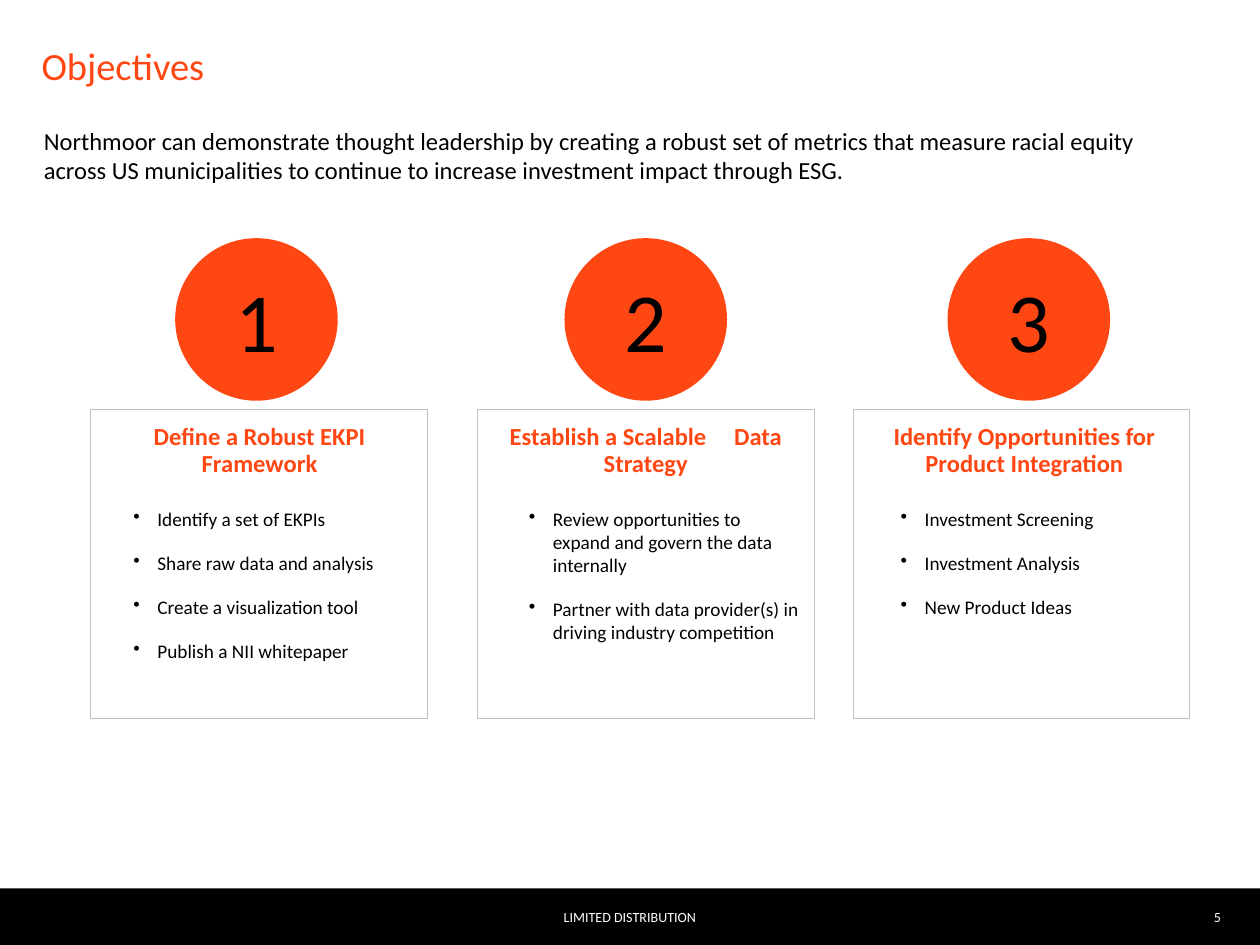
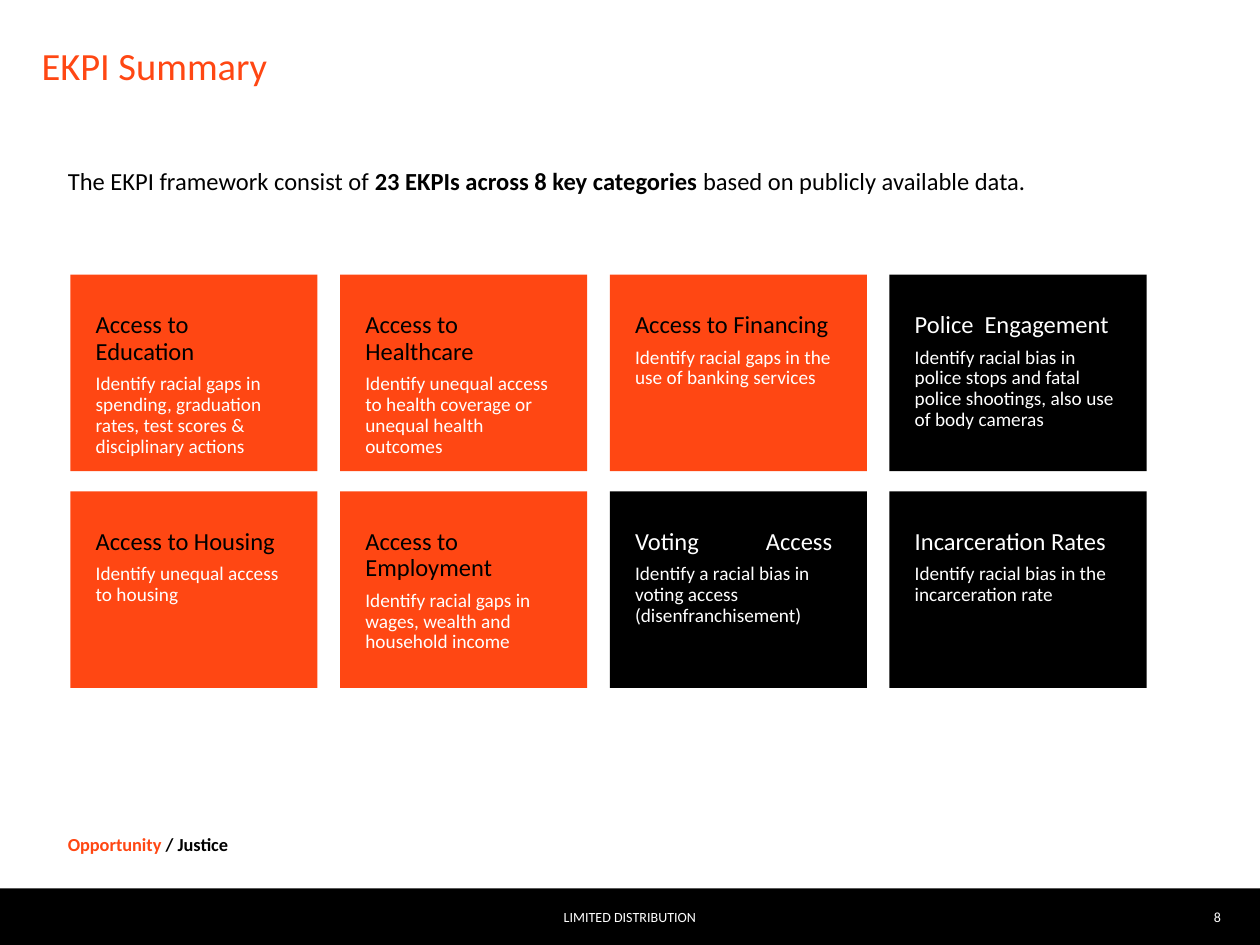
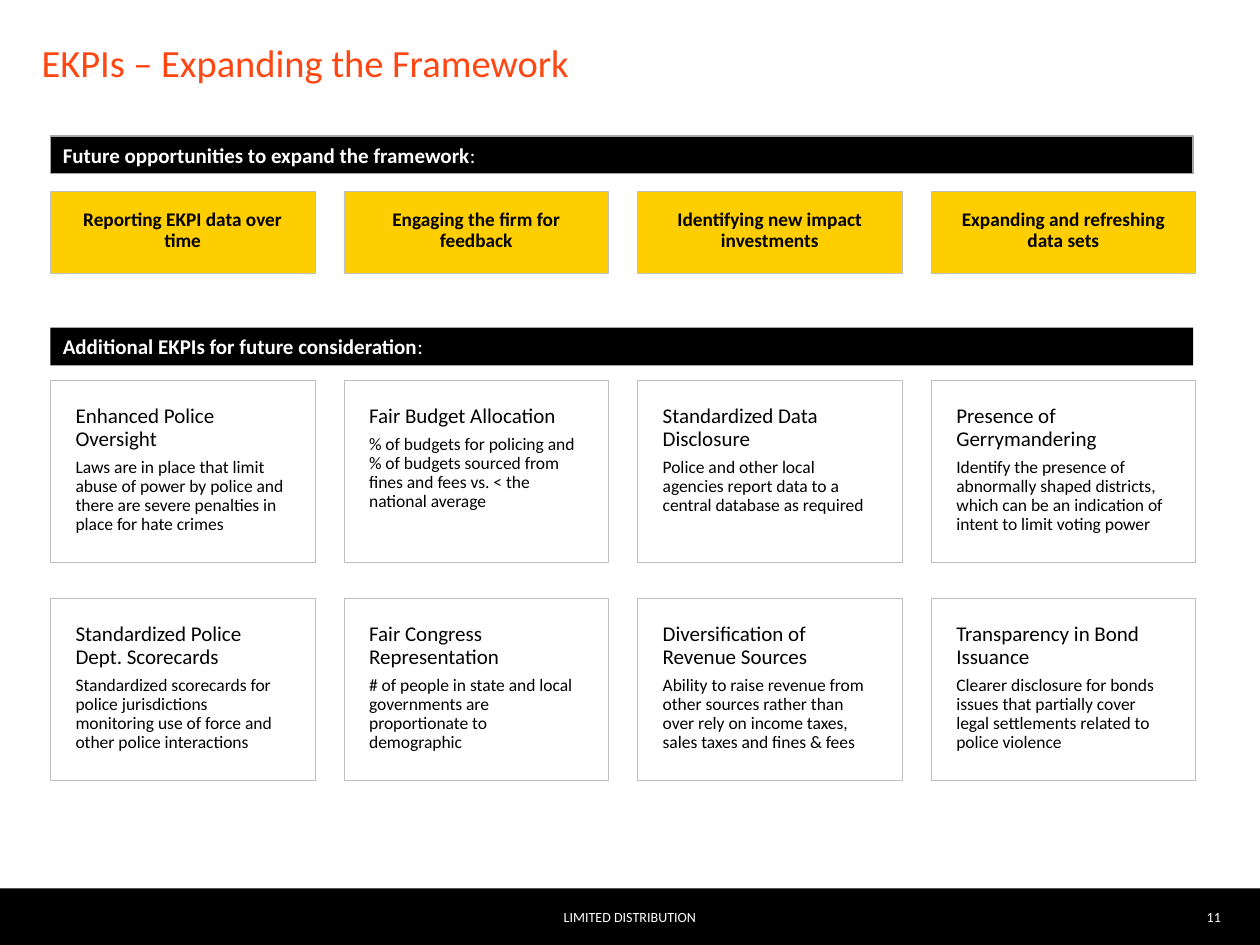
from itertools import accumulate

from pptx import Presentation
from pptx.dml.color import RGBColor
from pptx.enum.shapes import MSO_SHAPE as SHAPE
from pptx.enum.text import MSO_ANCHOR as ANCHOR, MSO_AUTO_SIZE as AUTO_SIZE, PP_ALIGN as ALIGN
from pptx.oxml.ns import qn
from pptx.util import Inches, Pt

ORANGE = RGBColor(0xFF, 0x47, 0x13)
YELLOW = RGBColor(0xFF, 0xCE, 0x00)
BLACK = RGBColor(0, 0, 0)
WHITE = RGBColor(0xFF, 0xFF, 0xFF)
CARD_LINE = RGBColor(0xBF, 0xBF, 0xBF)
BAR_LINE = RGBColor(0xA6, 0xA6, 0xA6)

FONT = "Calibri"
TITLE_ONLY = 5
FOOTER_TOP, FOOTER_HEIGHT = 7.05, 0.45
DEFAULT_INSETS = (0.1, 0.05, 0.1, 0.05)
NO_INSETS = (0, 0, 0, 0)

# (circle left, text left, text width, frame left, heading runs, bullets)
OBJECTIVES = [
    (1.39, 0.65, 2.82, 0.72, [("Define a Robust EKPI Framework", {})],
     ["Identify a set of EKPIs", "Share raw data and analysis",
      "Create a visualization tool", "Publish a NII whitepaper"]),
    (4.48, 3.79, 2.67, 3.79,
     [("Establish a Scalable", {}), (" ", {"spacing": 12.5}), ("Data Strategy", {})],
     ["Review opportunities to expand and govern the data internally",
      "Partner with data provider(s) in driving industry competition"]),
    (7.52, 6.74, 2.78, 6.77, [("Identify Opportunities for Product Integration", {})],
     ["Investment Screening", "Investment Analysis", "New Product Ideas"]),
]

# Rows of (fill, heading runs, description)
CATEGORIES = [
    [(ORANGE, [("Access to Education", {})],
      "Identify racial gaps in spending, graduation rates, test scores & disciplinary actions"),
     (ORANGE, [("Access to Healthcare", {})],
      "Identify unequal access to health coverage or unequal health outcomes"),
     (ORANGE, [("Access to Financing", {})],
      "Identify racial gaps in the use of banking services"),
     (BLACK, [("Police", {}), (" ", {"spacing": 3}), ("Engagement", {})],
      "Identify racial bias in police stops and fatal police shootings, "
      "also use of body cameras")],
    [(ORANGE, [("Access to Housing", {})], "Identify unequal access to housing"),
     (ORANGE, [("Access to Employment", {})],
      "Identify racial gaps in wages, wealth and household income"),
     (BLACK, [("Voting", {}), (" ", {"spacing": 35}), ("Access", {})],
      "Identify a racial bias in voting access (disenfranchisement)"),
     (BLACK, [("Incarceration Rates", {})],
      "Identify racial bias in the incarceration rate")],
]

OPPORTUNITIES = ["Reporting EKPI data over time", "Engaging the firm for feedback",
                 "Identifying new impact investments", "Expanding and refreshing data sets"]

FUTURE_EKPIS = [
    [("Enhanced Police Oversight",
      "Laws are in place that limit abuse of power by police and there are severe "
      "penalties in place for hate crimes"),
     ("Fair Budget Allocation",
      "% of budgets for policing and % of budgets sourced from fines and fees vs. "
      "< the national average"),
     ("Standardized Data Disclosure",
      "Police and other local agencies report data to a central database as required"),
     ("Presence of Gerrymandering",
      "Identify the presence of abnormally shaped districts, which can be an indication "
      "of intent to limit voting power")],
    [("Standardized Police Dept. Scorecards",
      "Standardized scorecards for police jurisdictions monitoring use of force and "
      "other police interactions"),
     ("Fair Congress Representation",
      "# of people in state and local governments are proportionate to demographic"),
     ("Diversification of Revenue Sources",
      "Ability to raise revenue from other sources rather than over rely on income "
      "taxes, sales taxes and fines & fees"),
     ("Transparency in Bond Issuance",
      "Clearer disclosure for bonds issues that partially cover legal settlements "
      "related to police violence")],
]


def set_frame(tf, insets=DEFAULT_INSETS, anchor=ANCHOR.TOP):
    tf.word_wrap = True
    tf.auto_size = AUTO_SIZE.NONE
    tf.vertical_anchor = anchor
    tf.margin_left, tf.margin_top, tf.margin_right, tf.margin_bottom = map(Inches, insets)


def add_runs(p, runs, size, color, bold=False):
    """Add (text, overrides) runs; overrides may hold color, bold and spacing in points."""
    for text, overrides in runs:
        r = p.add_run()
        r.text = text
        r.font.name = FONT
        r.font.size = Pt(size)
        r.font.color.rgb = overrides.get("color", color)
        r.font.bold = overrides.get("bold", bold)
        if "spacing" in overrides:
            r.font._element.set("spc", str(int(overrides["spacing"] * 100)))


def write(tf, runs, size, color, bold=False, align=ALIGN.LEFT, tight=False):
    """Fill the next paragraph; a tight one has 90% lines and a 35% gap below."""
    p = tf.add_paragraph() if tf.text else tf.paragraphs[0]
    p.alignment = align
    if tight:
        p.line_spacing = 0.9
        p.space_after = Pt(size * 0.35)
    add_runs(p, runs, size, color, bold)
    return p


def write_bullet(tf, text):
    p = write(tf, [(text, {})], 11, BLACK)
    p.space_before = Pt(12)
    pPr = p._p.get_or_add_pPr()
    pPr.set("marL", str(Inches(0.5)))
    pPr.set("indent", str(Inches(-0.19)))
    pPr.makeelement(qn("a:buChar"), {"char": "•"})
    pPr.append(pPr.makeelement(qn("a:buChar"), {"char": "•"}))


def add_box(slide, box, fill=None, line=None, line_width=0.25, shape=SHAPE.RECTANGLE,
            insets=DEFAULT_INSETS, anchor=ANCHOR.TOP):
    sp = slide.shapes.add_shape(shape, *map(Inches, box))
    sp.shadow.inherit = False
    if fill is None:
        sp.fill.background()
    else:
        sp.fill.solid()
        sp.fill.fore_color.rgb = fill
    if line is None:
        sp.line.fill.background()
    else:
        sp.line.color.rgb = line
        sp.line.width = Pt(line_width)
    set_frame(sp.text_frame, insets, anchor)
    return sp.text_frame


def add_text(slide, box, insets=DEFAULT_INSETS, anchor=ANCHOR.TOP):
    tf = slide.shapes.add_textbox(*map(Inches, box)).text_frame
    set_frame(tf, insets, anchor)
    return tf


def add_slide(prs, title, number, title_top=0.33, title_anchor=ANCHOR.TOP):
    """Add a slide with its title, footer band and page number."""
    slide = prs.slides.add_slide(prs.slide_layouts[TITLE_ONLY])
    sp = slide.shapes.title
    sp.left, sp.top, sp.width, sp.height = map(Inches, (0.33, title_top, 9.33, 0.65))
    set_frame(sp.text_frame, NO_INSETS, title_anchor)
    write(sp.text_frame, [(title, {})], 22, ORANGE)

    add_box(slide, (0, FOOTER_TOP, 10, FOOTER_HEIGHT), BLACK)
    tf = add_text(slide, (9.24, FOOTER_TOP, 0.45, FOOTER_HEIGHT), NO_INSETS, ANCHOR.MIDDLE)
    write(tf, [(str(number), {})], 8, WHITE, align=ALIGN.RIGHT)
    tf = add_text(slide, (1.75, FOOTER_TOP, 6.5, FOOTER_HEIGHT), anchor=ANCHOR.MIDDLE)
    write(tf, [("LIMITED DISTRIBUTION", {})], 8, WHITE, align=ALIGN.CENTER)
    return slide


def add_objective(slide, number, circle_left, text_left, text_width, frame_left,
                  heading, bullets):
    tf = add_text(slide, (text_left, 3.17, text_width, 2.93), (0.1, 0.2, 0.1, 0))
    write(tf, heading, 14, ORANGE, bold=True, align=ALIGN.CENTER, tight=True)
    for bullet in bullets:
        write_bullet(tf, bullet)
    tf = add_box(slide, (circle_left, 1.89, 1.29, 1.29), ORANGE, shape=SHAPE.OVAL,
                 insets=NO_INSETS, anchor=ANCHOR.MIDDLE)
    p = write(tf, [(str(number), {})], 48, BLACK, align=ALIGN.CENTER)
    p.space_before = p.space_after = Pt(3)
    add_box(slide, (frame_left, 3.25, 2.67, 2.45), line=CARD_LINE)


def add_category(slide, box, fill, heading, description):
    tf = add_box(slide, box, fill, insets=(0.2, 0.3, 0.2, 0.1))
    write(tf, heading, 14, BLACK if fill == ORANGE else WHITE, tight=True)
    write(tf, [(description, {})], 11, WHITE, tight=True)


def add_future_ekpi(slide, box, heading, description):
    tf = add_box(slide, box, WHITE, CARD_LINE, insets=(0.2, 0.2, 0.2, 0.2))
    write(tf, [(heading, {})], 12, BLACK, tight=True)
    write(tf, [(description, {})], 10, BLACK, tight=True)


def add_opportunity(slide, box, text):
    tf = add_box(slide, box, YELLOW, CARD_LINE, insets=(0.1, 0, 0.1, 0.03),
                 anchor=ANCHOR.MIDDLE)
    write(tf, [(text, {})], 11, BLACK, bold=True, align=ALIGN.CENTER, tight=True)


def add_section_bar(slide, top, text, line=None):
    tf = add_box(slide, (0.4, top, 9.07, 0.3), BLACK, line, 0.75)
    write(tf, [(text, {}), (":", {"bold": False})], 12, WHITE, bold=True)


def build_objectives(prs):
    slide = add_slide(prs, "Objectives", 5)
    tf = add_text(slide, (0.25, 0.95, 8.99, 0.57))
    write(tf, [("Northmoor can demonstrate thought leadership by creating a robust set of "
                "metrics that measure racial equity across US municipalities to continue "
                "to increase investment impact through ESG.", {})], 14, BLACK)
    for number, objective in enumerate(OBJECTIVES, start=1):
        add_objective(slide, number, *objective)


def build_summary(prs):
    slide = add_slide(prs, "EKPI Summary", 8)
    widths = [1.96, 1.96, 2.04, 2.04]
    gap = 0.18
    lefts = accumulate((w + gap for w in widths[:-1]), initial=0.56)
    columns = list(zip(lefts, widths))
    for row, categories in enumerate(CATEGORIES):
        for (left, width), category in zip(columns, categories):
            add_category(slide, (left, 2.18 + row * 1.72, width, 1.56), *category)
    tf = add_text(slide, (0.44, 1.27, 9.25, 0.34))
    write(tf, [("The EKPI framework consist of ", {}),
               ("23 EKPIs across 8 key categories ", {"bold": True}),
               ("based on publicly available data.", {})], 14, BLACK)
    tf = add_text(slide, (0.44, 6.56, 8.87, 0.28))
    write(tf, [("Opportunity", {"color": ORANGE}), (" / Justice", {})], 10.5, BLACK, bold=True)


def build_expansion(prs):
    slide = add_slide(prs, "EKPIs – Expanding the Framework", 11, 0.17, ANCHOR.MIDDLE)
    lefts = [0.4 + column * 2.33 for column in range(4)]
    add_section_bar(slide, 1.08, "Future opportunities to expand the framework", BAR_LINE)
    for left, text in zip(lefts, OPPORTUNITIES):
        add_opportunity(slide, (left, 1.52, 2.1, 0.65), text)
    add_section_bar(slide, 2.6, "Additional EKPIs for future consideration")
    for row, ekpis in enumerate(FUTURE_EKPIS):
        for left, ekpi in zip(lefts, ekpis):
            add_future_ekpi(slide, (left, 3.02 + row * 1.73, 2.1, 1.44), *ekpi)


def main():
    prs = Presentation()
    prs.slide_width, prs.slide_height = Inches(10), Inches(7.5)
    build_objectives(prs)
    build_summary(prs)
    build_expansion(prs)
    prs.save("out.pptx")


if __name__ == "__main__":
    main()
